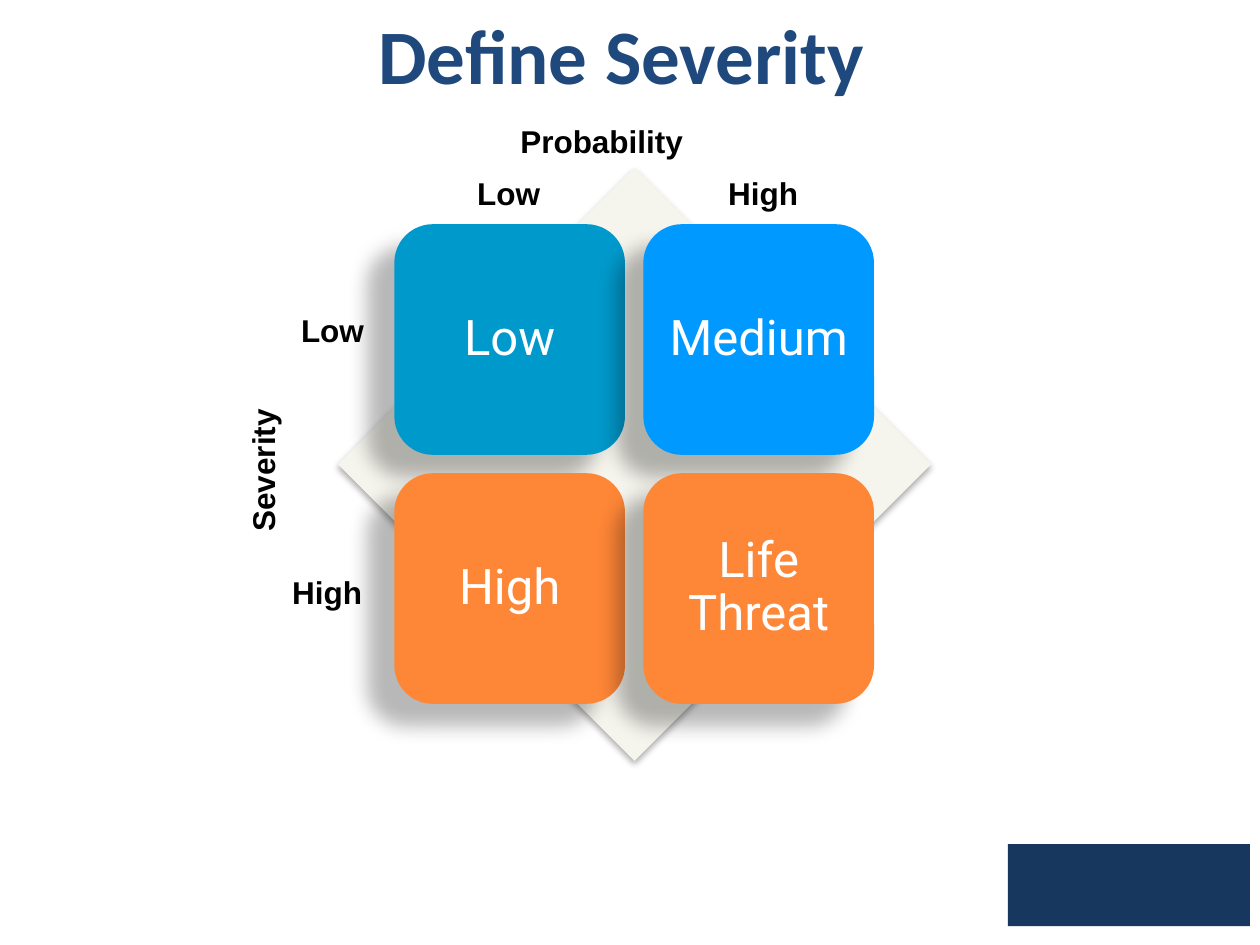
"""Build the severity and probability matrix slide."""
import pptx
import pptx.dml.color
import pptx.enum.shapes
import pptx.enum.text
import pptx.oxml
import pptx.oxml.ns
import pptx.util

Cm = pptx.util.Cm
Pt = pptx.util.Pt
Kind = pptx.enum.shapes.MSO_SHAPE
Align = pptx.enum.text.PP_ALIGN
Anchor = pptx.enum.text.MSO_ANCHOR
hues = {"navy": "17375E", "title": "1F497D", "cream": "F5F4ED", "teal": "0099CC",
        "blue": "0099FF", "orange": "FE8637", "white": "FFFFFF", "black": "000000"}


def draw(kind, left, top, wide, high, hue, cast=None):
    shape = slide.shapes.add_shape(kind, Cm(left), Cm(top), Cm(wide), Cm(high))
    shape.fill.solid()
    shape.fill.fore_color.rgb = pptx.dml.color.RGBColor.from_string(hues[hue])
    shape.line.fill.background()
    shape.shadow.inherit = False
    if cast:
        alpha, blur, dist, angle = cast
        glow = pptx.oxml.parse_xml(
            f'<a:outerShdw {pptx.oxml.ns.nsdecls("a")} blurRad="{Pt(blur)}" dist="{Pt(dist)}" '
            f'dir="{angle * 60000}" rotWithShape="0"><a:srgbClr val="{hues["black"]}">'
            f'<a:alpha val="{alpha * 1000}"/></a:srgbClr></a:outerShdw>')
        shape._element.spPr.find(pptx.oxml.ns.qn("a:effectLst")).append(glow)
    return shape


def write(shape, text, size, face, hue, bold=False, align=Align.LEFT):
    frame = shape.text_frame
    frame.text = text
    para = frame.paragraphs[0]
    para.alignment = align
    font = para.runs[0].font
    font.size = Pt(size)
    font.name = face
    font.bold = bold
    font.color.rgb = pptx.dml.color.RGBColor.from_string(hues[hue])
    return frame


deck = pptx.Presentation()
deck.slide_width = Cm(25.4)
deck.slide_height = Cm(19.05)
slide = deck.slides.add_slide(deck.slide_layouts[6])

draw(Kind.RECTANGLE, 20.32, 17.02, 4.88, 1.65, "navy")
draw(Kind.DIAMOND, 6.81, 3.38, 11.96, 11.96, "cream", (32, 3.5, 2.2, 90))

tiles = [("Low", "teal"), ("Medium", "blue"), ("High", "orange"), ("Life Threat", "orange")]
side, step = 4.65, 5.02
for i, (text, hue) in enumerate(tiles):
    row, col = divmod(i, 2)
    tile = draw(Kind.ROUNDED_RECTANGLE, 7.95 + col * step, 4.52 + row * step,
                side, side, hue, (28, 11.8, 19.7, 141))
    frame = write(tile, text, 28, "Roboto", "white", align=Align.CENTER)
    frame.word_wrap = True
    frame.vertical_anchor = Anchor.MIDDLE
    frame.margin_left = frame.margin_right = Cm(0.3)
    frame.margin_top = frame.margin_bottom = Cm(0.3)
    frame.paragraphs[0].line_spacing = 0.9

title = slide.shapes.add_textbox(0, 0, deck.slide_width, Cm(2.18))
frame = write(title, "Define Severity ", 44, "Calibri", "title", True, Align.CENTER)
frame.word_wrap = True
frame.vertical_anchor = Anchor.MIDDLE

labels = [
    ("Probability", 10.24, 2.34, 5.11, 1.32, 0),
    ("Severity", 3.45, 8.31, 3.99, 1.32, 270),
    ("Low", 5.82, 6.15, 1.8, 1.02, 0),
    ("High", 5.64, 11.43, 1.93, 1.02, 0),
    ("Low", 9.37, 3.38, 1.8, 1.02, 0),
    ("High", 14.43, 3.38, 1.93, 1.02, 0),
]
for text, left, top, wide, high, turn in labels:
    label = slide.shapes.add_textbox(Cm(left), Cm(top), Cm(wide), Cm(high))
    label.rotation = turn
    frame = write(label, text, 18, "Arial", "black", True)
    frame.word_wrap = wide > 2

deck.save("out.pptx")
